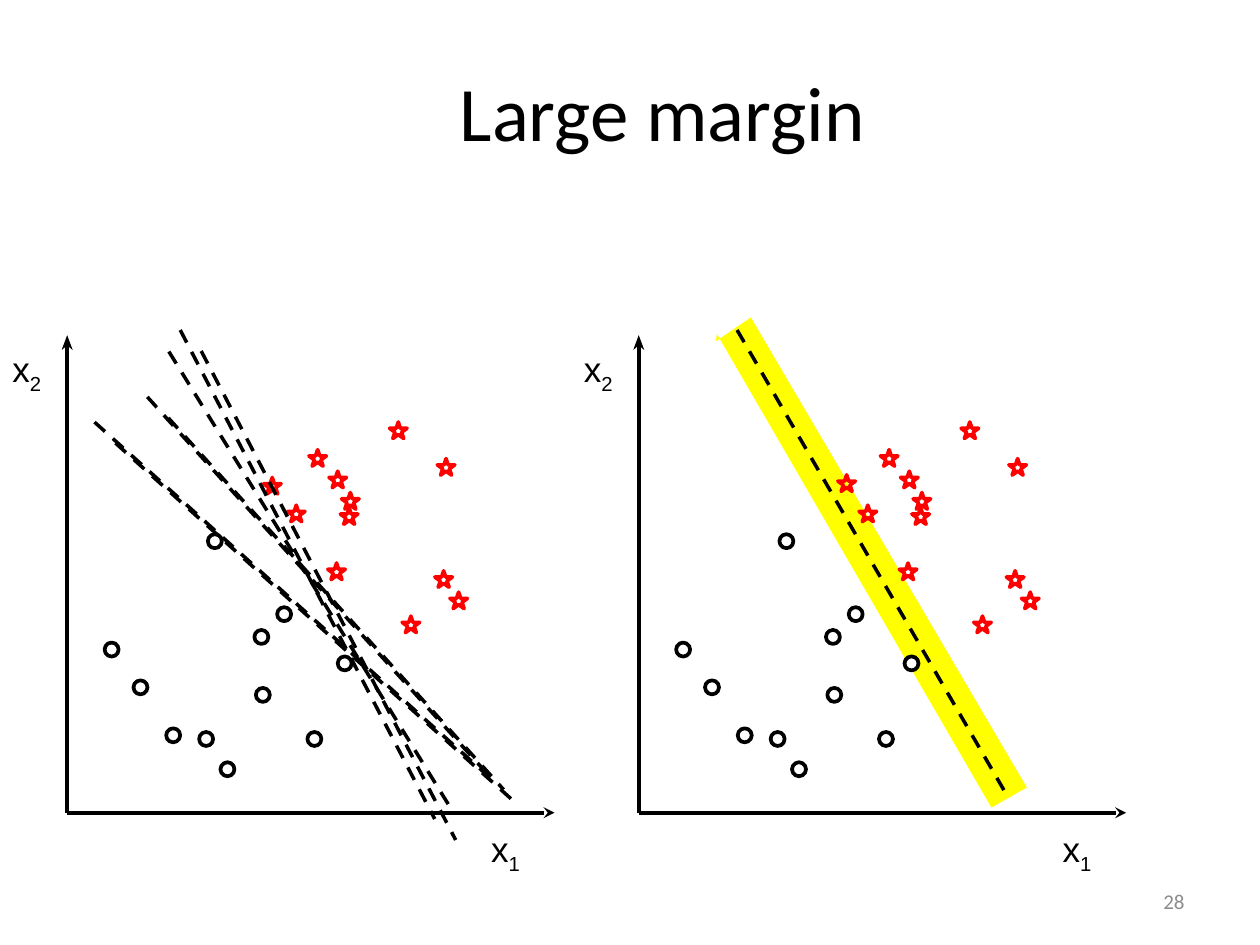
from collections import namedtuple
from dataclasses import dataclass

from lxml import etree
from pptx import Presentation
from pptx.dml.color import RGBColor
from pptx.enum.dml import MSO_LINE
from pptx.enum.shapes import MSO_CONNECTOR, MSO_SHAPE
from pptx.enum.text import MSO_ANCHOR, MSO_AUTO_SIZE, PP_ALIGN
from pptx.oxml.ns import qn
from pptx.util import Pt

DASH = MSO_LINE.DASH
STRAIGHT = MSO_CONNECTOR.STRAIGHT
OVAL, STAR, RECTANGLE = MSO_SHAPE.OVAL, MSO_SHAPE.STAR_5_POINT, MSO_SHAPE.RECTANGLE
TOP, MIDDLE = MSO_ANCHOR.TOP, MSO_ANCHOR.MIDDLE
FIT_SHAPE = MSO_AUTO_SIZE.SHAPE_TO_FIT_TEXT
LEFT, CENTER, RIGHT = PP_ALIGN.LEFT, PP_ALIGN.CENTER, PP_ALIGN.RIGHT

Box = namedtuple("Box", "left top width height")


@dataclass(frozen=True)
class Theme:
    """Colours, fonts, type sizes and line widths of the slide."""
    ink: RGBColor = RGBColor(0, 0, 0)
    paper: RGBColor = RGBColor(255, 255, 255)
    star: RGBColor = RGBColor(255, 0, 0)
    margin: RGBColor = RGBColor(255, 255, 0)
    muted: RGBColor = RGBColor(0x8C, 0x8C, 0x8C)
    text_font: str = "Calibri"
    label_font: str = "Arial"
    title_size: float = 44
    label_size: float = 20
    number_size: float = 12
    outline: float = 2.13
    boundary: float = 2


THEME = Theme()
SLIDE_WIDTH, SLIDE_HEIGHT = 720, 540
TITLE_BOX = Box(72.5, 18, 612, 90)
NUMBER_BOX = Box(516, 500.5, 168, 28.75)
LEFT_PLOT = Box(38.4, 191.5, 278.5, 272.9)
RIGHT_PLOT = LEFT_PLOT._replace(left=365)

CIRCLES = [(91.6, 24.8), (79.4, 42.1), (141.3, 42.1), (60.6, 44.2), (25.4, 93.2),
           (111, 100.4), (41.9, 71.6), (111.8, 67.3), (84.4, 155.1), (124, 113.4)]
STARS = [(215.1, 133.5), (223.7, 121.3), (154.6, 190.4), (153.9, 137.9),
         (161.1, 169.5), (143.1, 202.7), (189.2, 218.5), (161.8, 178.2),
         (216.5, 197.6), (196.4, 107.6), (130.9, 171)]
BASE_BOUNDARIES = [((45.8, 237.6), (237.4, 25.2)), ((15.6, 223.2), (243.8, 18)),
                   ((64.6, 275.8), (210, -3.6))]
CANDIDATES = [((58.1, 263.5), (219.4, 2.2))] + [
    tuple((x + shift, y - shift) for x, y in ends)
    for shift in (0, 12) for ends in BASE_BOUNDARIES]
BEST_BOUNDARY = [((56.2, 275.8), (210.3, 10.1))]
MARGIN_BAND = [(44, 269.3), (64.1, 283), (221.8, 14.4), (201.6, 2.9), (44.7, 273.6)]


def at(box, point):
    """Turn plot coordinates, counted from the axes' corner, into slide lengths."""
    return Pt(box.left + point[0]), Pt(box.top + box.height - point[1])


def place(target, box):
    """Move and size a shape to a box."""
    for side, length in box._asdict().items():
        setattr(target, side, Pt(length))


def style_font(font, name, size, color):
    """Set the family, size and colour of a font."""
    for key, setting in {"name": name, "size": Pt(size)}.items():
        setattr(font, key, setting)
    font.color.rgb = color


def paint(target, fill=None, line=None):
    """Give a shape its fill and outline, without a shadow."""
    target.shadow.inherit = False
    if fill is None:
        target.fill.background()
    else:
        target.fill.solid()
        target.fill.fore_color.rgb = fill
    if line is None:
        target.line.fill.background()
    else:
        target.line.color.rgb = line
        target.line.width = Pt(THEME.outline)


def add_line(shapes, box, start, end, width, dash=None, arrow=False):
    """Draw a straight line between two plot points."""
    stroke = shapes.add_connector(STRAIGHT, *at(box, start), *at(box, end))
    stroke.line.color.rgb = THEME.ink
    stroke.line.width = Pt(width)
    if dash:
        stroke.line.dash_style = dash
    properties = stroke._element.spPr
    if arrow:
        etree.SubElement(properties.find(qn("a:ln")), qn("a:tailEnd"), type="stealth")
    etree.SubElement(properties, qn("a:effectLst"))


def add_outline(shapes, box, points, fill):
    """Draw a filled polygon through plot points."""
    start, *rest = [at(box, point) for point in points]
    builder = shapes.build_freeform(*start)
    builder.add_line_segments(rest, close=True)
    paint(builder.convert_to_shape(), fill)


def add_marker(shapes, box, kind, center, size, fill, line):
    """Draw one sample centred on a plot point."""
    width, height = size
    corner = center[0] - width / 2, center[1] + height / 2
    marker = shapes.add_shape(kind, *at(box, corner), Pt(width), Pt(height))
    paint(marker, fill, line)


def add_axis_label(shapes, box, corner, width, index):
    """Write x with a subscript index."""
    label = shapes.add_shape(RECTANGLE, *at(box, corner), Pt(width), Pt(31))
    paint(label, THEME.paper)
    frame = label.text_frame
    for key, setting in {"word_wrap": True, "vertical_anchor": TOP,
                         "auto_size": FIT_SHAPE}.items():
        setattr(frame, key, setting)
    paragraph = frame.paragraphs[0]
    paragraph.alignment = LEFT
    for part in ("x", index):
        run = paragraph.add_run()
        run.text = part
        style_font(run.font, THEME.label_font, THEME.label_size, THEME.ink)
    run._r.get_or_add_rPr().set("baseline", "-25000")


def add_plot(slide, box, boundaries, support_circle, support_star, band=None):
    """Draw a scatter plot with its axes, samples and decision boundaries."""
    if band:
        add_outline(slide.shapes, box, band, THEME.margin)
    shapes = slide.shapes.add_group_shape().shapes
    top = box.height
    add_line(shapes, box, (0, 0), (box.width, 0), THEME.outline, arrow=True)
    add_line(shapes, box, (0, 0), (0, top - 5.8), THEME.outline)
    arrowhead = [(-3.2, top - 8.6), (0, top), (3.2, top - 8.6), (0, top - 5.8)]
    add_outline(shapes, box, arrowhead, THEME.ink)
    add_axis_label(shapes, box, (235.2, -5), 54.7, "1")
    add_axis_label(shapes, box, (-38.4, 269.3), 35.3, "2")
    for center in CIRCLES + [support_circle]:
        add_marker(shapes, box, OVAL, center, (8, 8), THEME.paper, THEME.ink)
    for center in STARS + [support_star]:
        add_marker(shapes, box, STAR, center, (10, 9.4), None, THEME.star)
    for start, end in boundaries:
        add_line(slide.shapes, box, start, end, THEME.boundary, dash=DASH)


def write_line(target, box, text, alignment, size, color):
    """Place one line of text, centred vertically in its box."""
    place(target, box)
    frame = target.text_frame
    frame.text = text
    for key, setting in {"word_wrap": True, "vertical_anchor": MIDDLE}.items():
        setattr(frame, key, setting)
    paragraph = frame.paragraphs[0]
    paragraph.alignment = alignment
    style_font(paragraph.runs[0].font, THEME.text_font, size, color)


def main():
    """Build the slide and save it."""
    deck = Presentation()
    deck.slide_width, deck.slide_height = Pt(SLIDE_WIDTH), Pt(SLIDE_HEIGHT)
    slide = deck.slides.add_slide(deck.slide_layouts.get_by_name("Title Only"))
    write_line(slide.shapes.title, TITLE_BOX, "Large margin", CENTER,
               THEME.title_size, THEME.ink)
    add_plot(slide, LEFT_PLOT, CANDIDATES, (158.6, 85.3), (117.2, 186.8))
    add_plot(slide, RIGHT_PLOT, BEST_BOUNDARY, (155.9, 85.3), (118.8, 188.3), MARGIN_BAND)
    page_number = slide.shapes.add_textbox(*map(Pt, NUMBER_BOX))
    write_line(page_number, NUMBER_BOX, "28", RIGHT, THEME.number_size, THEME.muted)
    deck.save("out.pptx")


if __name__ == "__main__":
    main()
